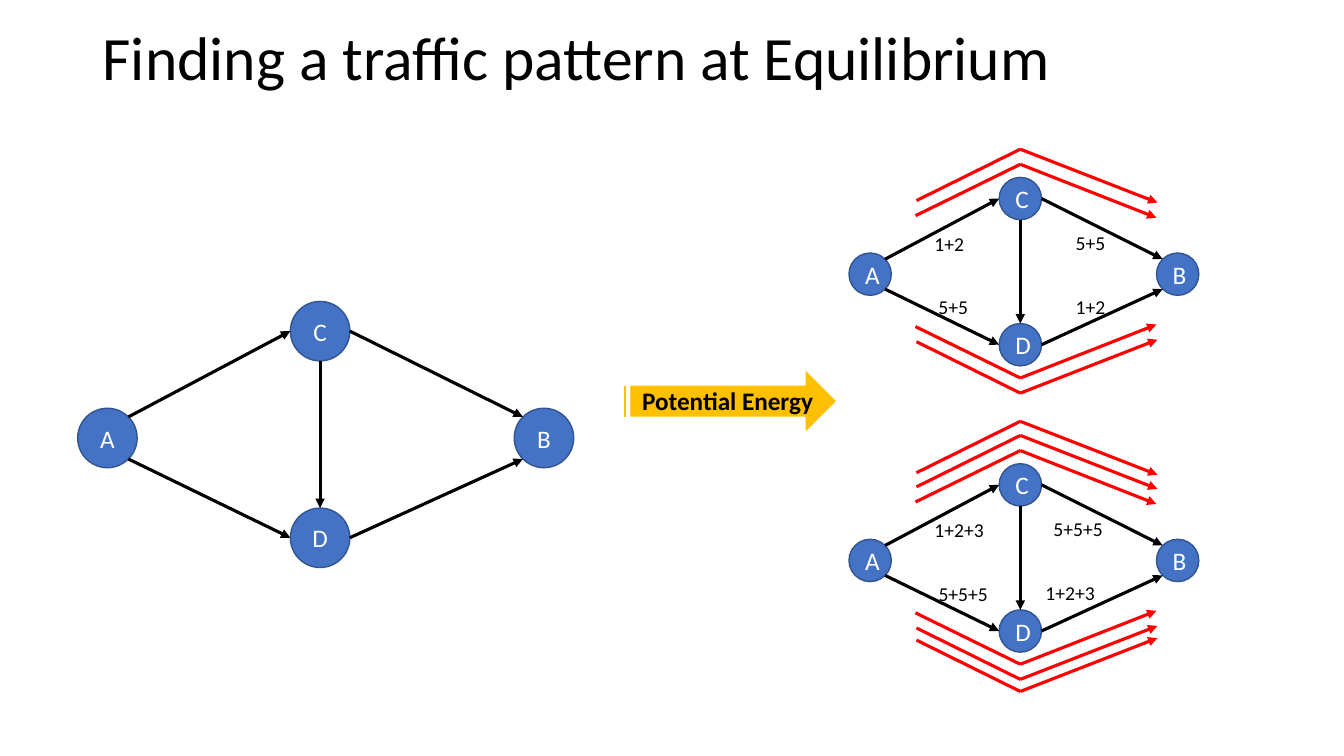
from dataclasses import dataclass
from math import sqrt

from lxml.etree import SubElement
from pptx import Presentation
from pptx.dml.color import RGBColor
from pptx.enum.shapes import MSO_CONNECTOR as CONN, MSO_SHAPE as SHAPE
from pptx.enum.text import MSO_ANCHOR as ANCHOR, PP_ALIGN as ALIGN
from pptx.oxml.ns import qn
from pptx.util import Pt

PX = 9144  # 100 px to the inch


@dataclass(frozen=True)
class Theme:
    font: str = "Calibri"
    black: str = "000000"
    white: str = "FFFFFF"
    node: str = "4472C4"
    node_edge: str = "325491"
    route: str = "FF0000"
    arrow: str = "FFC000"
    title_pt: int = 44
    body_pt: int = 18
    label_pt: int = 14
    line_pt: float = 2.25


T = Theme()


def emu(*lengths):
    return [round(n * PX) for n in lengths]


def rgb(color):
    return RGBColor.from_string(color)


def write(s, text, size, color=T.black, bold=False):
    p = s.text_frame.paragraphs[0]
    p.text = text
    p.font.name = T.font
    p.font.size = Pt(size)
    p.font.bold = bold
    p.font.color.rgb = rgb(color)
    return p


def add_label(shapes, text, box, size, bold=False, wrap=True):
    s = shapes.add_textbox(*emu(*box))
    s.text_frame.word_wrap = wrap
    write(s, text, size, bold=bold)
    return s


def add_filled(shapes, kind, box, fill, edge, width):
    s = shapes.add_shape(kind, *emu(*box))
    s.shadow.inherit = False
    s.fill.solid()
    s.fill.fore_color.rgb = rgb(fill)
    s.line.color.rgb = rgb(edge)
    s.line.width = Pt(width)
    return s


def add_node(shapes, name, x, y, size):
    s = add_filled(shapes, SHAPE.OVAL, (x, y, size, size), T.node, T.node_edge, 1)
    s.text_frame.vertical_anchor = ANCHOR.MIDDLE
    write(s, name, T.body_pt, T.white).alignment = ALIGN.CENTER


def add_line(shapes, start, end, color=T.black, head=True):
    c = shapes.add_connector(CONN.STRAIGHT, *emu(*start, *end))
    c.line.color.rgb = rgb(color)
    c.line.width = Pt(T.line_pt)
    if head:
        SubElement(c.line._get_or_add_ln(), qn("a:tailEnd"), type="triangle")
    SubElement(c._element.spPr, qn("a:effectLst"))


def add_network(shapes, corners, size):
    """Draw nodes A to D from their top-left corners, and the roads between them."""
    for name, (x, y) in corners.items():
        add_node(shapes, name, x, y, size)
    r = size / 2
    diagonal = r / sqrt(2)

    def rim(name, dx, dy):
        x, y = corners[name]
        return x + r + dx, y + r + dy

    for name, side in (("C", -1), ("D", 1)):
        add_line(shapes, rim("A", diagonal, side * diagonal), rim(name, -r, 0))
        add_line(shapes, rim(name, r, 0), rim("B", -diagonal, side * diagonal))
    add_line(shapes, rim("C", 0, r), rim("D", 0, -r))


def add_route(shapes, apex_y, side, shift):
    """Draw a bent route; side is 1 when it runs above the network, -1 below."""
    apex = (1012, apex_y)
    add_line(shapes, apex, (908 + shift, apex_y + side * 51), T.route, head=False)
    add_line(shapes, apex, (1147 + shift, apex_y + side * 53), T.route)


def add_loaded_network(shapes, top, cars, labels):
    corners = {"A": (842, top + 75), "C": (991, top),
               "D": (991, top + 145), "B": (1147, top + 75)}
    add_network(shapes, corners, 42)
    for i, (above, below) in enumerate(((-13, 199), (-28, 214), (-42, 226))[:cars]):
        shift = min(i, 1)
        add_route(shapes, top + above, 1, shift)
        add_route(shapes, top + below, -1, shift)
    for text, x, dy, width in labels:
        add_label(shapes, text, (x, top + dy, width, 34), T.label_pt)


def add_energy_arrow(shapes):
    add_filled(shapes, SHAPE.STRIPED_RIGHT_ARROW, (614, 365, 217, 66),
               T.arrow, T.white, 1.5)
    add_label(shapes, "Potential Energy", (627, 377, 191, 40), T.body_pt,
              bold=True, wrap=False)


def add_title(shapes, text):
    s = add_label(shapes, text, (92, -12, 1150, 145), T.title_pt)
    s.text_frame.vertical_anchor = ANCHOR.MIDDLE
    s.text_frame.paragraphs[0].line_spacing = 0.9


def main():
    prs = Presentation()
    prs.slide_width, prs.slide_height = emu(1333, 750)
    shapes = prs.slides.add_slide(prs.slide_layouts[6]).shapes

    def group():
        return shapes.add_group_shape().shapes

    add_title(shapes, "Finding a traffic pattern at Equilibrium")
    add_network(group(), {"A": (77, 405), "C": (288, 299),
                          "D": (288, 504), "B": (510, 405)}, 59)
    add_loaded_network(group(), 176, 2, [
        ("1+2", 917, 49, 67), ("5+5", 921, 112, 67),
        ("5+5", 1057, 48, 67), ("1+2", 1057, 112, 67)])
    add_loaded_network(group(), 460, 3, [
        ("1+2+3", 917, 49, 86), ("5+5+5", 921, 112, 89),
        ("5+5+5", 1035, 48, 89), ("1+2+3", 1027, 111, 80)])
    add_energy_arrow(group())
    prs.save("out.pptx")


if __name__ == "__main__":
    main()
